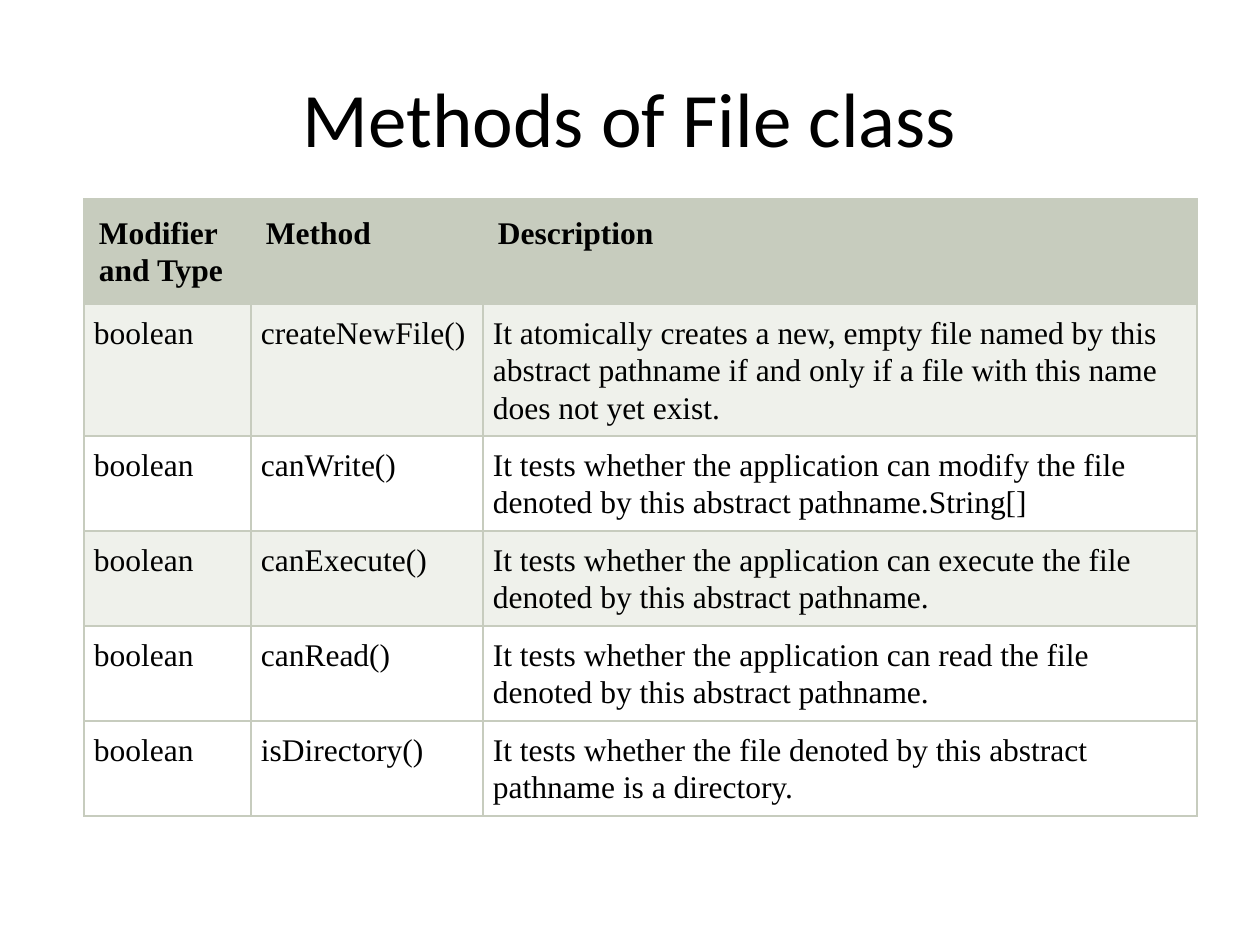
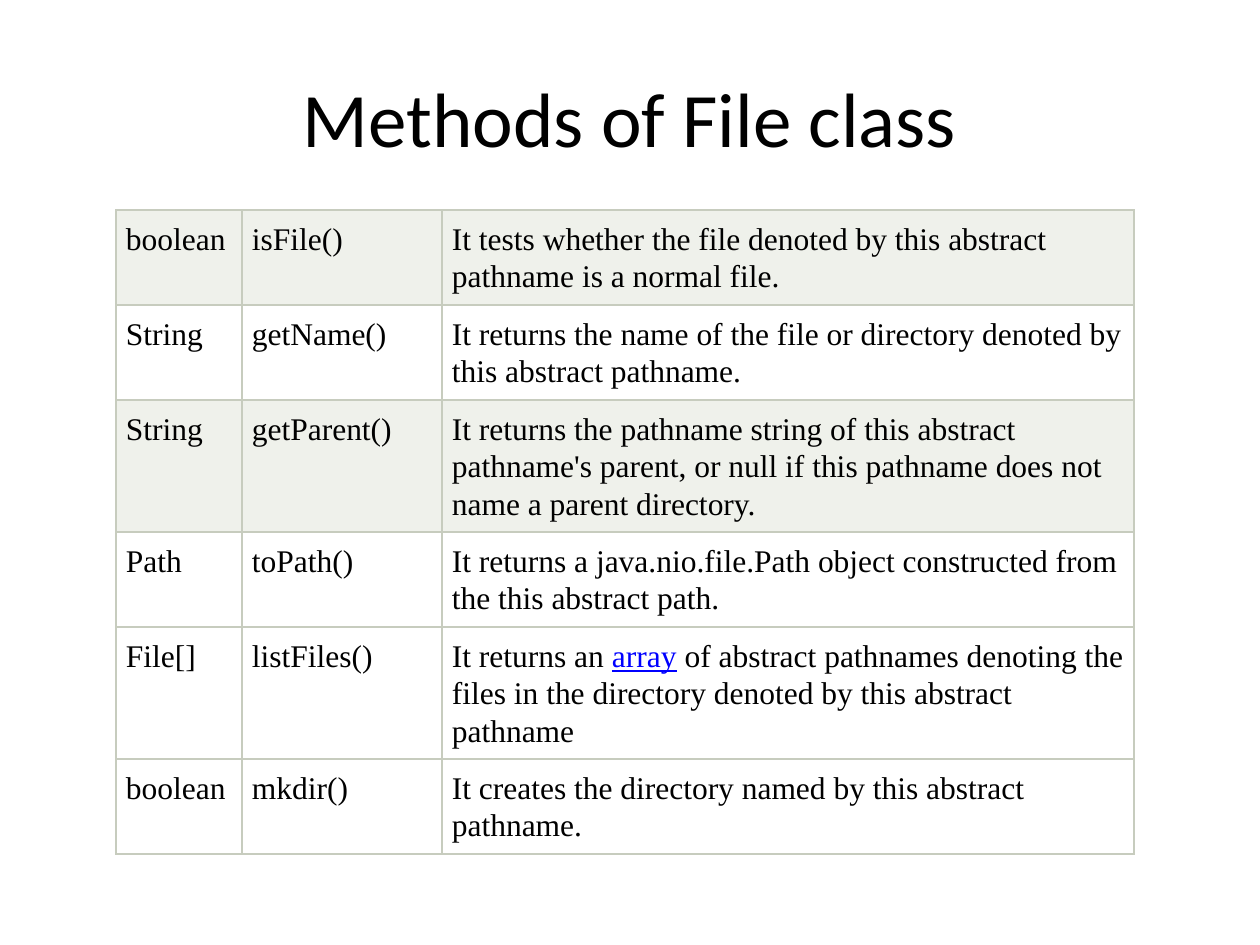
from dataclasses import dataclass

from lxml import etree
from pptx import Presentation
from pptx.dml.color import RGBColor
from pptx.enum.text import MSO_ANCHOR, MSO_AUTO_SIZE, PP_ALIGN
from pptx.oxml.ns import qn
from pptx.util import Emu, Pt

CENTER, LEFT = PP_ALIGN.CENTER, PP_ALIGN.LEFT
MIDDLE, TOP = MSO_ANCHOR.MIDDLE, MSO_ANCHOR.TOP
NO_FIT = MSO_AUTO_SIZE.NONE
TITLE_ONLY = 5
PX_PER_INCH = 126


@dataclass(frozen=True)
class Theme:
    ink: str = "000000"
    link: str = "0000FF"
    rule: str = "C7CCBE"
    shade: str = "EFF1EB"
    paper: str = "FFFFFF"
    title_font: str = "Calibri"
    table_font: str = "Times New Roman"
    title_size: int = 44
    table_size: int = 18
    border_width: int = 1
    line_spacing: float = 1.07


@dataclass(frozen=True)
class Box:
    left: int
    top: int
    width: int
    height: int = 0


THEME = Theme()
TITLE = "Methods of File class"
TITLE_BOX = Box(63, 38, 1134, 157)
HEADER_PAD, CELL_PAD = 15, 10
HEADER_HEIGHT = 105
LINE_HEIGHT, ROW_EXTRA = 37, 21
SHADED_ROWS = (0, 2)

HEADER = ("Modifier and Type", "Method", "Description")

# Each row: type, method, description, number of lines in the description
ACCESS_METHODS = [
    ("boolean", "createNewFile()",
     "It atomically creates a new, empty file named by this abstract pathname "
     "if and only if a file with this name does not yet exist.", 3),
    ("boolean", "canWrite()",
     "It tests whether the application can modify the file denoted by this "
     "abstract pathname.String[]", 2),
    ("boolean", "canExecute()",
     "It tests whether the application can execute the file denoted by this "
     "abstract pathname.", 2),
    ("boolean", "canRead()",
     "It tests whether the application can read the file denoted by this "
     "abstract pathname.", 2),
    ("boolean", "isDirectory()",
     "It tests whether the file denoted by this abstract pathname is a "
     "directory.", 2),
]

# A description in several spans is a tuple of (text, is_link) pairs
NAME_METHODS = [
    ("boolean", "isFile()",
     "It tests whether the file denoted by this abstract pathname is a normal "
     "file.", 2),
    ("String", "getName()",
     "It returns the name of the file or directory denoted by this abstract "
     "pathname.", 2),
    ("String", "getParent()",
     "It returns the pathname string of this abstract pathname's parent, or "
     "null if this pathname does not name a parent directory.", 3),
    ("Path", "toPath()",
     "It returns a java.nio.file.Path object constructed from the this "
     "abstract path.", 2),
    ("File[]", "listFiles()",
     (("It returns an ", False), ("array", True),
      (" of abstract pathnames denoting the files in the directory denoted by "
       "this abstract pathname", False)), 3),
    ("boolean", "mkdir()",
     "It creates the directory named by this abstract pathname.", 2),
]


def px(length):
    return Emu(round(length * 914400 / PX_PER_INCH))


def write_text(frame, text, *, font, size, bold=False, align=LEFT, spacing=1.0):
    """Fill a text frame with one paragraph of plain text or of spans."""
    para = frame.paragraphs[0]
    para.alignment = align
    para.line_spacing = spacing
    spans = ((text, False),) if isinstance(text, str) else text
    for words, is_link in spans:
        span = para.add_run()
        span.text = words
        span.font.name = font
        span.font.size = Pt(size)
        span.font.bold = bold
        span.font.underline = is_link
        span.font.color.rgb = RGBColor.from_string(
            THEME.link if is_link else THEME.ink)


def add_title(page, box):
    title = page.shapes.title
    title.left, title.top = px(box.left), px(box.top)
    title.width, title.height = px(box.width), px(box.height)
    frame = title.text_frame
    frame.auto_size = NO_FIT
    frame.vertical_anchor = MIDDLE
    write_text(frame, TITLE, font=THEME.title_font, size=THEME.title_size,
               align=CENTER)


def draw_borders(cell):
    properties = cell._tc.get_or_add_tcPr()
    for side in ("lnL", "lnR", "lnT", "lnB"):
        line = etree.SubElement(properties, qn(f"a:{side}"),
                                w=str(Pt(THEME.border_width)))
        fill = etree.SubElement(line, qn("a:solidFill"))
        etree.SubElement(fill, qn("a:srgbClr"), val=THEME.rule)


def fill_cell(cell, text, *, color, pad, bold=False):
    draw_borders(cell)
    cell.fill.solid()
    cell.fill.fore_color.rgb = RGBColor.from_string(color)
    cell.margin_left = cell.margin_right = px(pad)
    cell.margin_top = cell.margin_bottom = px(pad)
    cell.vertical_anchor = TOP
    write_text(cell.text_frame, text, font=THEME.table_font,
               size=THEME.table_size, bold=bold, spacing=THEME.line_spacing)


def add_method_table(page, box, columns, methods, header=None):
    """Place the table in its box; the last column takes the remaining width."""
    heights = [lines * LINE_HEIGHT + ROW_EXTRA for *_, lines in methods]
    if header:
        heights.insert(0, HEADER_HEIGHT)
    widths = [*columns, box.width - sum(columns)]
    table = page.shapes.add_table(
        len(heights), len(widths), px(box.left), px(box.top),
        px(box.width), px(sum(heights))).table
    table.first_row = table.horz_banding = False
    for column, width in zip(table.columns, widths):
        column.width = px(width)
    for row, height in zip(table.rows, heights):
        row.height = px(height)

    # Header row
    rows = list(table.rows)
    if header:
        for cell, text in zip(rows.pop(0).cells, header):
            fill_cell(cell, text, color=THEME.rule, pad=HEADER_PAD, bold=True)

    # Method rows
    for index, (row, method) in enumerate(zip(rows, methods)):
        color = THEME.shade if index in SHADED_ROWS else THEME.paper
        for cell, text in zip(row.cells, method):
            fill_cell(cell, text, color=color, pad=CELL_PAD)


def add_method_page(deck, box, columns, methods, header=None):
    page = deck.slides.add_slide(deck.slide_layouts[TITLE_ONLY])
    add_title(page, TITLE_BOX)
    add_method_table(page, box, columns, methods, header)


def main():
    deck = Presentation()
    deck.slide_width, deck.slide_height = px(1260), px(945)
    add_method_page(deck, Box(84, 199, 1113), (167, 232), ACCESS_METHODS, HEADER)
    add_method_page(deck, Box(116, 210, 1018), (126, 200), NAME_METHODS)
    deck.save("out.pptx")


if __name__ == "__main__":
    main()
